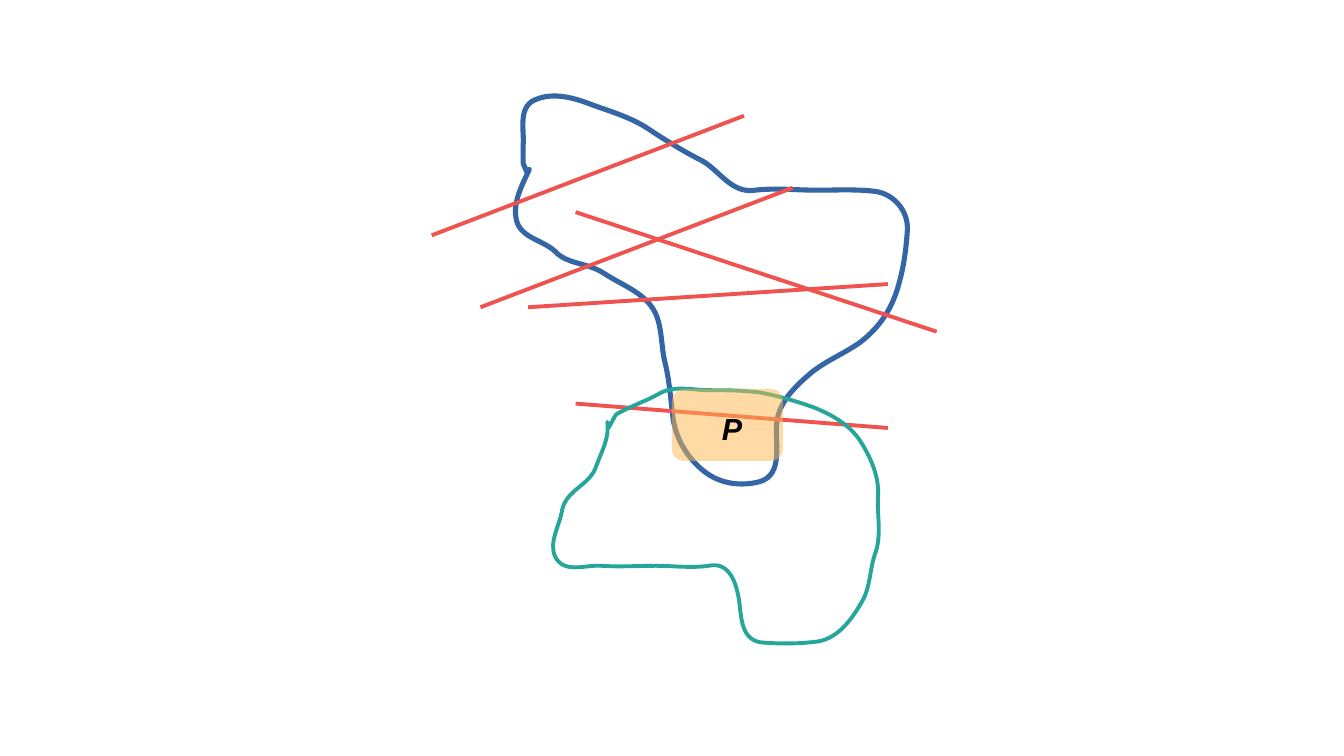
from lxml import etree
from pptx import Presentation, util as u
from pptx.dml.color import RGBColor
from pptx.enum import shapes, text
from pptx.oxml.ns import qn

BLUE, RED, TEAL, ORANGE, BLACK = "3465A4", "EF5350", "26A69A", "FFB74D", "000000"

UPPER_BOX = (4.23, 0.79, 3.21, 3.18)
UPPER_REGION = [
    (4.34, 1.39),
    (4.28, 1.52, 4.21, 1.65, 4.23, 1.78), (4.25, 1.95, 4.44, 1.96, 4.55, 2.06),
    (4.65, 2.17, 4.81, 2.15, 4.95, 2.24), (5.1, 2.34, 5.29, 2.4, 5.37, 2.56),
    (5.43, 2.68, 5.42, 2.83, 5.45, 2.96), (5.49, 3.12, 5.5, 3.28, 5.52, 3.44),
    (5.55, 3.62, 5.65, 3.77, 5.78, 3.87), (5.91, 3.97, 6.08, 3.99, 6.23, 3.95),
    (6.43, 3.89, 6.35, 3.63, 6.37, 3.46), (6.39, 3.29, 6.53, 3.16, 6.66, 3.05),
    (6.79, 2.95, 6.92, 2.9, 7.05, 2.81), (7.22, 2.68, 7.32, 2.52, 7.37, 2.33),
    (7.41, 2.19, 7.43, 2.05, 7.44, 1.89), (7.45, 1.72, 7.32, 1.59, 7.18, 1.57),
    (7.02, 1.55, 6.86, 1.56, 6.7, 1.56), (6.53, 1.56, 6.36, 1.54, 6.19, 1.56),
    (6, 1.59, 5.9, 1.4, 5.76, 1.32), (5.6, 1.24, 5.44, 1.14, 5.29, 1.04),
    (5.14, 0.95, 4.99, 0.91, 4.83, 0.85), (4.7, 0.8, 4.54, 0.76, 4.41, 0.81),
    (4.24, 0.86, 4.3, 1.06, 4.29, 1.19), (4.29, 1.34), (4.32, 1.41), (4.34, 1.39),
]
LOWER_BOX = (4.54, 3.19, 2.67, 2.09)
LOWER_REGION = [
    (4.98, 3.46),
    (5, 3.59, 4.93, 3.71, 4.89, 3.82), (4.84, 3.98, 4.65, 4.01, 4.61, 4.18),
    (4.59, 4.31, 4.5, 4.44, 4.55, 4.56), (4.62, 4.71, 4.8, 4.63, 4.93, 4.64),
    (5.08, 4.65, 5.23, 4.64, 5.38, 4.64), (5.52, 4.64, 5.67, 4.66, 5.81, 4.64),
    (5.99, 4.6, 6.04, 4.8, 6.06, 4.92), (6.08, 5.05, 6.07, 5.26, 6.26, 5.27),
    (6.41, 5.28, 6.56, 5.28, 6.71, 5.26), (6.88, 5.23, 6.99, 5.07, 7.07, 4.93),
    (7.14, 4.81, 7.13, 4.66, 7.18, 4.53), (7.23, 4.38, 7.19, 4.22, 7.2, 4.07),
    (7.21, 3.91, 7.14, 3.75, 7.05, 3.61), (6.96, 3.48, 6.82, 3.4, 6.67, 3.34),
    (6.53, 3.29, 6.39, 3.25, 6.24, 3.22), (6.09, 3.2, 5.95, 3.2, 5.81, 3.2),
    (5.68, 3.2, 5.54, 3.16, 5.42, 3.22), (5.3, 3.29, 5.17, 3.33, 5.05, 3.4),
    (4.99, 3.51), (4.98, 3.46),
]
CUTS = [
    (3.54, 1.93, 6.1, 0.95), (3.94, 2.52, 6.5, 1.54), (4.33, 2.52, 7.28, 2.33),
    (4.72, 1.74, 7.68, 2.72), (4.72, 3.31, 7.28, 3.51),
]


def rgb(color):
    """Turn a hex string into a colour."""
    return RGBColor.from_string(color)


def set_curves(sp, left, top, segments):
    """Give a freeform an outline of cubic curves and straight segments."""
    outline = next(sp._element.iter(qn("a:path")))
    for child in list(outline):
        outline.remove(child)
    for i, seg in enumerate(segments):
        tag = "a:moveTo" if i == 0 else "a:lnTo" if len(seg) == 2 else "a:cubicBezTo"
        step = etree.SubElement(outline, qn(tag))
        for x, y in zip(seg[::2], seg[1::2]):
            pt = etree.SubElement(step, qn("a:pt"))
            pt.set("x", str(u.Inches(x - left)))
            pt.set("y", str(u.Inches(y - top)))
    etree.SubElement(outline, qn("a:close"))


def add_region(s, box, segments, color, width):
    """Draw a closed, unfilled curved outline in its box."""
    left, top, w, h = box
    corners = [(left, top), (left + w, top), (left + w, top + h), (left, top + h)]
    corners = [(u.Inches(x), u.Inches(y)) for x, y in corners]
    builder = s.shapes.build_freeform(*corners[0])
    builder.add_line_segments(corners[1:], close=True)
    sp = builder.convert_to_shape()
    set_curves(sp, left, top, segments)
    sp.shadow.inherit = False
    sp.fill.background()
    sp.line.color.rgb = rgb(color)
    sp.line.width = u.Pt(width)


def add_cuts(s):
    """Draw the straight lines that cross the regions."""
    for ends in CUTS:
        cut = s.shapes.add_connector(shapes.MSO_CONNECTOR.STRAIGHT, *map(u.Inches, ends))
        cut.line.color.rgb = rgb(RED)
        cut.line.width = u.Pt(2.3)
        etree.SubElement(cut._element.spPr, qn("a:effectLst"))


def add_overlap(s, left, top, width, height):
    """Mark the shared area with a translucent box and its label."""
    sp = s.shapes.add_shape(shapes.MSO_SHAPE.ROUNDED_RECTANGLE, u.Inches(left),
                            u.Inches(top), u.Inches(width), u.Inches(height))
    sp.shadow.inherit = False
    sp.fill.solid()
    sp.fill.fore_color.rgb = rgb(ORANGE)
    fill_color = sp._element.spPr.find(qn("a:solidFill"))[0]
    etree.SubElement(fill_color, qn("a:alpha")).set("val", "50000")
    sp.line.fill.background()

    label = s.shapes.add_textbox(u.Inches(left + 0.31), u.Inches(top + 0.12),
                                 u.Inches(0.36), u.Inches(0.38))
    tf = label.text_frame
    tf.word_wrap = False
    tf.auto_size = text.MSO_AUTO_SIZE.SHAPE_TO_FIT_TEXT
    p = tf.paragraphs[0]
    p.text = "P"
    p.font.name, p.font.size = "Arial", u.Pt(18)
    p.font.bold = p.font.italic = True
    p.font.color.rgb = rgb(BLACK)


def main():
    """Build the slide and save it."""
    prs = Presentation()
    prs.slide_width, prs.slide_height = u.Inches(11.02), u.Inches(6.2)
    s = prs.slides.add_slide(prs.slide_layouts[6])
    add_region(s, UPPER_BOX, UPPER_REGION, BLUE, 3)
    add_cuts(s)
    add_region(s, LOWER_BOX, LOWER_REGION, TEAL, 2.3)
    add_overlap(s, 5.51, 3.19, 0.91, 0.59)
    prs.save("out.pptx")


if __name__ == "__main__":
    main()
